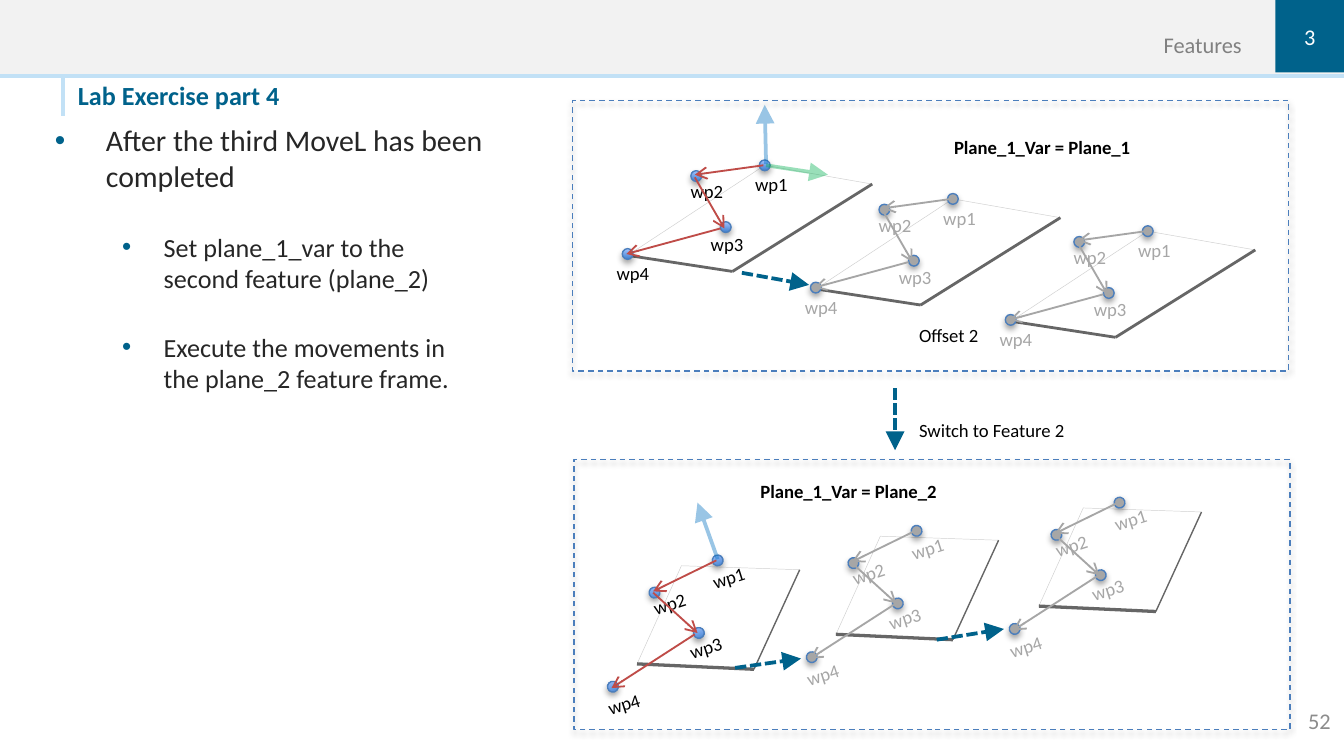
"""Builds the slide 'Lab Exercise part 4' with two rows of shifted waypoint planes."""
from lxml.etree import SubElement
from pptx import Presentation
from pptx.dml.color import RGBColor
from pptx.enum.dml import MSO_LINE
from pptx.enum.shapes import MSO_CONNECTOR, MSO_SHAPE
from pptx.enum.text import MSO_ANCHOR, PP_ALIGN
from pptx.oxml.ns import qn
from pptx.util import Inches, Pt

BLACK = RGBColor(0x00, 0x00, 0x00)
WHITE = RGBColor(0xFF, 0xFF, 0xFF)
TEAL = RGBColor(0x00, 0x62, 0x8B)
PALE_BLUE = RGBColor(0xC2, 0xE1, 0xF6)
BAND = RGBColor(0xF2, 0xF2, 0xF2)
INK = RGBColor(0x26, 0x26, 0x26)
HEADER_GRAY = RGBColor(0x80, 0x80, 0x80)
NUMBER_GRAY = RGBColor(0x8C, 0x8C, 0x8C)
FADED = RGBColor(0xA6, 0xA6, 0xA6)
EDGE = RGBColor(0x66, 0x66, 0x66)
HAIRLINE = RGBColor(0xD0, 0xD0, 0xD0)
OUTLINE = RGBColor(0x4B, 0x7E, 0xBC)
DOT_DARK = RGBColor(0x3F, 0x80, 0xCE)
DOT_LIGHT = RGBColor(0xA4, 0xC4, 0xFF)
RED = RGBColor(0xBF, 0x4C, 0x48)
GREEN = RGBColor(0x00, 0xB0, 0x50)
BLUE = RGBColor(0x00, 0x70, 0xC0)

FONT = "Calibri"
DOT = 0.08
LABEL = (0.54, 0.27)
FRAME = (5.33, 2.01)

BULLETS = [
    (0, "After the third MoveL has been completed"),
    (1, "Set plane_1_var to the\vsecond feature (plane_2)"),
    (1, "Execute the movements in\vthe plane_2 feature frame."),
]
LEVELS = [(16, 0.38, 0.38), (14, 0.81, 0.31)]

ROWS = [
    {
        "rotation": 0,
        "offsets": [(0, 0), (1.4, 0.25), (2.85, 0.49)],
        "plane": [(5.69, 1.23), (4.67, 1.9), (5.45, 2.02), (6.49, 1.37)],
        "edges": (1.5, 1.5),
        "dots": [(4.63, 1.85), (5.36, 1.65), (5.14, 1.27), (5.65, 1.19)],
        "labels": [("wp4", 4.49, 1.9), ("wp3", 5.19, 1.68),
                   ("wp2", 5.04, 1.29), ("wp1", 5.52, 1.24)],
        "moves": [(5.68, 1.23, 5.17, 1.3), (5.17, 1.32, 5.39, 1.7),
                  (5.36, 1.7, 4.66, 1.89)],
    },
    {
        "rotation": -17.7,
        "offsets": [(0, 0), (1.48, -0.22), (2.99, -0.43)],
        "plane": [(5.07, 4.21), (4.74, 4.94), (5.61, 4.98), (5.95, 4.24)],
        "edges": (1.75, 0.75),
        "dots": [(4.52, 5.07), (5.16, 4.67), (4.83, 4.37), (5.3, 4.13)],
        "labels": [("wp4", 4.42, 5.09), ("wp3", 5.03, 4.67),
                   ("wp2", 4.76, 4.34), ("wp1", 5.2, 4.15)],
        "moves": [(5.33, 4.17, 4.86, 4.4), (4.86, 4.41, 5.19, 4.71),
                  (5.17, 4.72, 4.55, 5.12)],
    },
]
FRAMES = [(4.26, 0.75), (4.27, 3.42)]
SHIFTS = [(5.52, 2.03, 6.02, 2.12), (5.47, 4.97, 5.96, 4.9),
          (6.97, 4.76, 7.47, 4.68), (6.66, 2.89, 6.66, 3.35)]
AXES = [((5.7, 1.23, 6.16, 1.3), GREEN), ((5.7, 1.22, 5.69, 0.78), BLUE),
        ((5.34, 4.16, 5.19, 3.74), BLUE)]
CAPTIONS = [("Plane_1_Var = Plane_1", 7, 0.96, 1.65, True),
            ("Offset 2", 6.74, 2.36, 0.67, False),
            ("Plane_1_Var = Plane_2", 5.56, 3.52, 1.66, True),
            ("Switch to Feature 2", 6.74, 3.07, 1.31, False)]


def box(*lengths):
    return [Inches(v) for v in lengths]


def add_shadow(sp):
    effects = sp._element.spPr.find(qn("a:effectLst"))
    shadow = SubElement(effects, qn("a:outerShdw"), blurRad="40000", dist="23000",
                        dir="5400000", rotWithShape="0")
    color = SubElement(shadow, qn("a:srgbClr"), val="000000")
    SubElement(color, qn("a:alpha"), val="35000")


def style(sp, fill=None, line=None, width=0.75):
    sp.shadow.inherit = False
    if fill is None:
        sp.fill.background()
    else:
        sp.fill.solid()
        sp.fill.fore_color.rgb = fill
    if line is None:
        sp.line.fill.background()
    else:
        sp.line.color.rgb = line
        sp.line.width = Pt(width)
    return sp


def add_rect(shapes, at, fill=None, line=None):
    return style(shapes.add_shape(MSO_SHAPE.RECTANGLE, *box(*at)), fill, line)


def write(sp, text, size, color, bold=False, align=PP_ALIGN.LEFT,
          anchor=MSO_ANCHOR.TOP, inset=(0.1, 0.05, 0.1, 0.05)):
    tf = sp.text_frame
    tf.word_wrap, tf.vertical_anchor = True, anchor
    tf.margin_left, tf.margin_top, tf.margin_right, tf.margin_bottom = box(*inset)
    tf.text = text
    p = tf.paragraphs[0]
    p.alignment = align
    font = p.runs[0].font
    font.name, font.size, font.bold, font.color.rgb = FONT, Pt(size), bold, color


def add_text(shapes, at, *args, **kwargs):
    sp = shapes.add_textbox(*box(*at))
    write(sp, *args, **kwargs)
    return sp


def add_line(shapes, ends, color, width, head=None, dash=None, alpha=None):
    line = shapes.add_connector(MSO_CONNECTOR.STRAIGHT, *box(*ends))
    line.line.color.rgb, line.line.width = color, Pt(width)
    if dash:
        line.line.dash_style = dash
    ln = line.line._get_or_add_ln()
    if alpha:
        SubElement(ln.find(".//" + qn("a:srgbClr")), qn("a:alpha"), val=str(alpha * 1000))
    if head:
        size = "lg" if head == "triangle" else "med"
        SubElement(ln, qn("a:tailEnd"), type=head, w=size, len=size)
    SubElement(line._element.spPr, qn("a:effectLst"))


def add_outline(shapes, points, close):
    first, *rest = [box(*pt) for pt in points]
    builder = shapes.build_freeform(*first)
    builder.add_line_segments(rest, close=close)
    return builder.convert_to_shape()


def add_pose(shapes, row, dx, dy, active):
    plane = [(x + dx, y + dy) for x, y in row["plane"]]
    style(add_outline(shapes, plane, True), WHITE, HAIRLINE, 0.25)
    for start, end, width in zip(plane[1:], plane[2:], row["edges"]):
        add_line(shapes, (*start, *end), EDGE, width)
    for x, y in row["dots"]:
        dot = shapes.add_shape(MSO_SHAPE.OVAL, *box(x + dx, y + dy, DOT, DOT))
        style(dot, FADED, OUTLINE).rotation = row["rotation"]
        if active:
            dot.fill.gradient()
            dot.fill.gradient_angle = 90
            for stop, color in zip(dot.fill.gradient_stops, (DOT_DARK, DOT_LIGHT)):
                stop.color.rgb = color
        add_shadow(dot)
    for text, x, y in row["labels"]:
        label = add_text(shapes, (x + dx, y + dy, *LABEL), text, 10, BLACK if active else FADED)
        label.rotation = row["rotation"]
    for x1, y1, x2, y2 in row["moves"]:
        add_line(shapes, (x1 + dx, y1 + dy, x2 + dx, y2 + dy), RED if active else FADED, 1, "arrow")


def add_bullets(shapes):
    tf = shapes.add_textbox(*box(0.31, 0.86, 3.95, 2.2)).text_frame
    tf.word_wrap = True
    for i, (level, text) in enumerate(BULLETS):
        p = tf.paragraphs[0] if i == 0 else tf.add_paragraph()
        size, margin, hang = LEVELS[level]
        p.text, p.level = text, level
        if i:
            p.space_before = Pt(20)
        pPr = p._p.get_or_add_pPr()
        pPr.set("marL", str(Inches(margin)))
        pPr.set("indent", str(-Inches(hang)))
        SubElement(SubElement(pPr, qn("a:buClr")), qn("a:srgbClr"), val=str(TEAL))
        SubElement(pPr, qn("a:buFont"), typeface="Arial")
        SubElement(pPr, qn("a:buChar"), char="•")
        for r in p.runs:
            r.font.name, r.font.size, r.font.color.rgb = FONT, Pt(size), INK


def main():
    prs = Presentation()
    prs.slide_width = Inches(10)
    prs.slide_height = prs.slide_width * 9 // 16
    s = prs.slides.add_slide(prs.slide_layouts[5])
    shapes = s.shapes
    add_rect(shapes, (0, 0, 10, 0.58), PALE_BLUE)
    add_rect(shapes, (0, 0, 10, 0.55), BAND)
    add_line(shapes, (0.47, 0.58, 0.47, 0.86), PALE_BLUE, 2.5)

    title = shapes.title
    title.left, title.top, title.width, title.height = box(0.58, 0.59, 4.41, 0.28)
    write(title, "Lab Exercise part 4", 14, TEAL, True, inset=(0, 0, 0, 0.04))
    add_bullets(shapes)
    flush = (0, 0, 0, 0)
    add_text(shapes, (9, 5.21, 1, 0.3), "52", 12, NUMBER_GRAY,
             align=PP_ALIGN.RIGHT, anchor=MSO_ANCHOR.MIDDLE)
    add_text(shapes, (5, 0, 4.24, 0.43), "Features", 12, HEADER_GRAY,
             align=PP_ALIGN.RIGHT, anchor=MSO_ANCHOR.BOTTOM, inset=flush)
    chapter = add_rect(shapes, (9.49, 0, 0.51, 0.54), TEAL)
    write(chapter, "3", 12, WHITE, align=PP_ALIGN.CENTER, anchor=MSO_ANCHOR.MIDDLE, inset=flush)

    for row, corner in zip(ROWS, FRAMES):
        for i, (dx, dy) in enumerate(row["offsets"]):
            add_pose(shapes.add_group_shape().shapes, row, dx, dy, i == 0)
        frame = add_rect(shapes, (*corner, *FRAME), None, OUTLINE)
        frame.line.dash_style = MSO_LINE.DASH
        add_shadow(frame)
    for ends in SHIFTS:
        add_line(shapes, ends, TEAL, 2, "triangle", MSO_LINE.SQUARE_DOT)
    for ends, color in AXES:
        add_line(shapes, ends, color, 2, "triangle", alpha=40)
    for text, x, y, width, bold in CAPTIONS:
        add_text(shapes, (x, y, width, 0.27), text, 10, BLACK, bold)
    prs.save("out.pptx")


if __name__ == "__main__":
    main()
